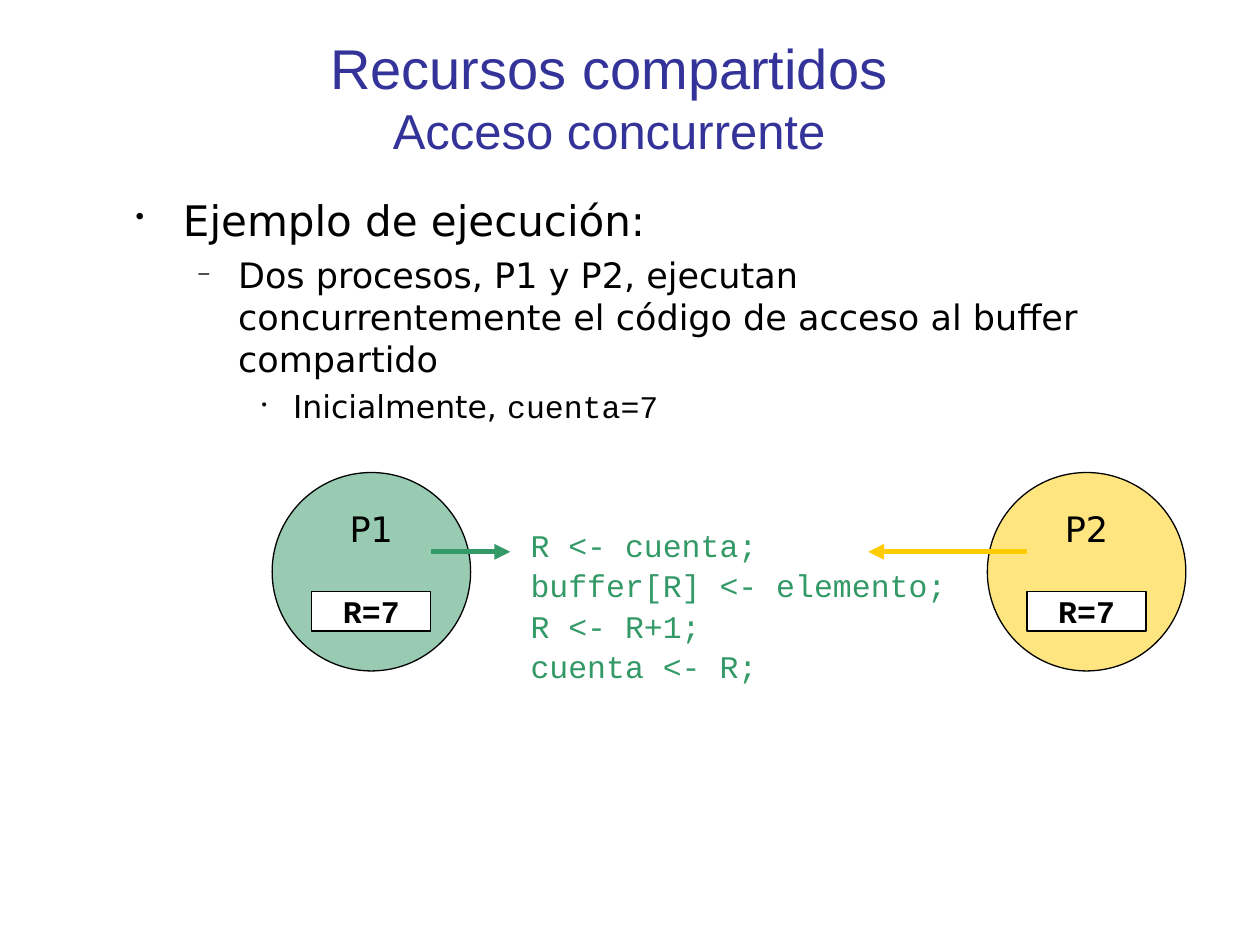
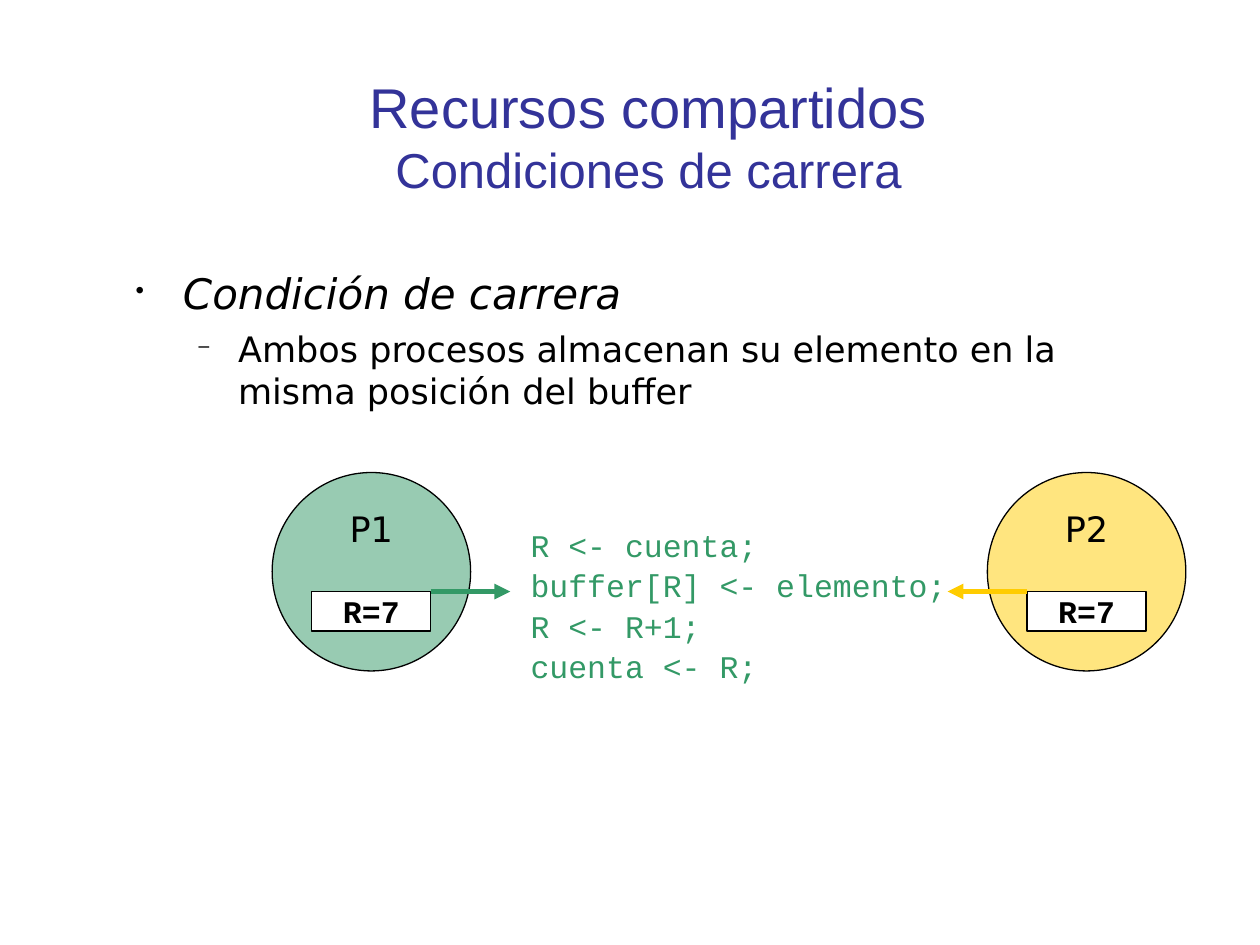
import pptx
import pptx.dml.color
import pptx.enum.shapes
import pptx.enum.text
import pptx.oxml
import pptx.oxml.ns
import pptx.util

Pt = pptx.util.Pt
ALIGN = pptx.enum.text.PP_ALIGN
ANCHOR = pptx.enum.text.MSO_ANCHOR
SHAPE = pptx.enum.shapes.MSO_SHAPE
STRAIGHT = pptx.enum.shapes.MSO_CONNECTOR.STRAIGHT

BLUE, GREEN, YELLOW = "333399", "339966", "FFCC00"
BLACK, WHITE = "000000", "FFFFFF"
TITLE_FONT, BODY_FONT, CODE_FONT = "Arial", "DejaVu Sans", "Courier New"

# Bullet, its size in percent, left margin, hanging indent, space before, text size
LEVELS = [
    ("•", 60, 27, 27, 6, 24),
    ("–", 55, 58.5, 22.5, 5, 20),
    ("•", 50, 90, 18, 4.5, 18),
]
CODE = ["R <- cuenta;", "buffer[R] <- elemento;", "R <- R+1;", "cuenta <- R;"]
CODE_BOX = (224, 292.5, 385, 113.5)
UNIT = 22.68  # grid step of the process diagram
PROCESS_TOP = 270
P1_LEFT, P2_LEFT = 155.5, 564.2


def color(value):
    return pptx.dml.color.RGBColor.from_string(value)


def add_xml(parent, tag, **attributes):
    element = pptx.oxml.parse_xml(f"<{tag} {pptx.oxml.ns.nsdecls('a')}/>")
    for name, value in attributes.items():
        element.set(name, str(value))
    parent.append(element)
    return element


def add_span(para, text, font, size, ink=BLACK, **style):
    span = para.add_run()
    span.text = text
    span.font.color.rgb = color(ink)
    for name, value in {"name": font, "size": Pt(size), **style}.items():
        setattr(span.font, name, value)


def add_text_box(page, box, **frame_format):
    frame = page.shapes.add_textbox(*map(Pt, box)).text_frame
    for name, value in {"word_wrap": True, **frame_format}.items():
        setattr(frame, name, value)
    return frame


def next_para(frame, index):
    return frame.add_paragraph() if index else frame.paragraphs[0]


def add_title(page, box, subtitle):
    frame = add_text_box(page, box, vertical_anchor=ANCHOR.BOTTOM)
    para = frame.paragraphs[0]
    para.alignment = ALIGN.CENTER
    add_span(para, "Recursos compartidos", TITLE_FONT, 32, BLUE)
    para.add_line_break()
    add_span(para, subtitle, TITLE_FONT, 28, BLUE)


def add_bullets(page, box, items):
    """Write one paragraph per level; an item is a list of (text, style) spans."""
    frame = add_text_box(page, box, vertical_anchor=ANCHOR.MIDDLE, margin_top=Pt(9.6))
    for index, (spans, level) in enumerate(zip(items, LEVELS)):
        mark, percent, margin, hanging, before, size = level
        para = next_para(frame, index)
        para.level = index
        if index:
            para.space_before = Pt(before)
        properties = para._p.get_or_add_pPr()
        properties.set("marL", str(Pt(margin)))
        properties.set("indent", str(-Pt(hanging)))
        add_xml(add_xml(properties, "a:buClr"), "a:srgbClr", val=BLACK)
        add_xml(properties, "a:buSzPct", val=percent * 1000)
        add_xml(properties, "a:buChar", char=mark)
        for text, style in spans:
            add_span(para, text, **{"font": BODY_FONT, "size": size, **style})


def add_code(page, box):
    frame = add_text_box(page, box, margin_left=Pt(79.2), margin_top=Pt(8.1))
    for index, line in enumerate(CODE):
        para = next_para(frame, index)
        if index:
            para.space_before = Pt(1.5)
        add_span(para, line, CODE_FONT, 18, GREEN)


def add_node(page, kind, box, fill, anchor, text, font, size, **style):
    node = page.shapes.add_shape(kind, *map(Pt, box))
    node.shadow.inherit = False
    node.fill.solid()
    node.fill.fore_color.rgb = color(fill)
    node.line.color.rgb = color(BLACK)
    node.line.width = Pt(0.75)
    frame = node.text_frame
    frame.word_wrap = False
    frame.vertical_anchor = anchor
    frame.paragraphs[0].alignment = ALIGN.CENTER
    add_span(frame.paragraphs[0], text, font, size, **style)
    return node


def add_arrow(page, start, end, y, ink):
    arrow = page.shapes.add_connector(STRAIGHT, Pt(start), Pt(y), Pt(end), Pt(y))
    arrow.line.color.rgb = color(ink)
    arrow.line.width = Pt(3)
    add_xml(arrow.line._get_or_add_ln(), "a:tailEnd", type="triangle")
    add_xml(arrow._element.spPr, "a:effectLst")


def add_process(page, left, top, name, ink, arrow_row, arrow_from, arrow_to):
    """Draw a process, its register and its arrow; arrow values are grid steps."""
    circle = add_node(page, SHAPE.OVAL, (left, top, 5 * UNIT, 5 * UNIT), ink,
                      ANCHOR.TOP, name, BODY_FONT, 20)
    tint = circle._element.spPr.find(".//" + pptx.oxml.ns.qn("a:srgbClr"))
    add_xml(tint, "a:alpha", val=50000)
    register = (left + UNIT, top + 3 * UNIT, 3 * UNIT, UNIT)
    add_node(page, SHAPE.RECTANGLE, register, WHITE,
             ANCHOR.MIDDLE, "R=7", CODE_FONT, 18, bold=True)
    add_arrow(page, left + arrow_from * UNIT, left + arrow_to * UNIT,
              top + arrow_row * UNIT, ink)


def add_page(deck, title_box, subtitle, body_top, items, arrow_row, p2_arrow_to):
    page = deck.slides.add_slide(deck.slide_layouts[6])
    add_title(page, title_box, subtitle)
    add_code(page, CODE_BOX)
    add_bullets(page, (70.5, body_top, 581, 159), items)
    add_process(page, P1_LEFT, PROCESS_TOP, "P1", GREEN, arrow_row, 4, 6)
    add_process(page, P2_LEFT, PROCESS_TOP, "P2", YELLOW, arrow_row, 1, p2_arrow_to)


def main():
    deck = pptx.Presentation()
    deck.slide_width, deck.slide_height = Pt(720), Pt(540)
    add_page(deck, (48, 6, 600, 88.5), "Acceso concurrente", 94.5, [
        [("Ejemplo de ejecución:", {})],
        [("Dos procesos, P1 y P2, ejecutan concurrentemente el código "
          "de acceso al buffer compartido", {})],
        [("Inicialmente, ", {}), ("cuenta=7", {"font": CODE_FONT})],
    ], arrow_row=2, p2_arrow_to=-3)
    add_page(deck, (70.5, 49, 600, 68), "Condiciones de carrera", 111.5, [
        [("Condición de carrera", {"italic": True})],
        [("Ambos procesos almacenan su elemento en la misma posición "
          "del buffer", {})],
    ], arrow_row=3, p2_arrow_to=-1)
    deck.save("out.pptx")


if __name__ == "__main__":
    main()
